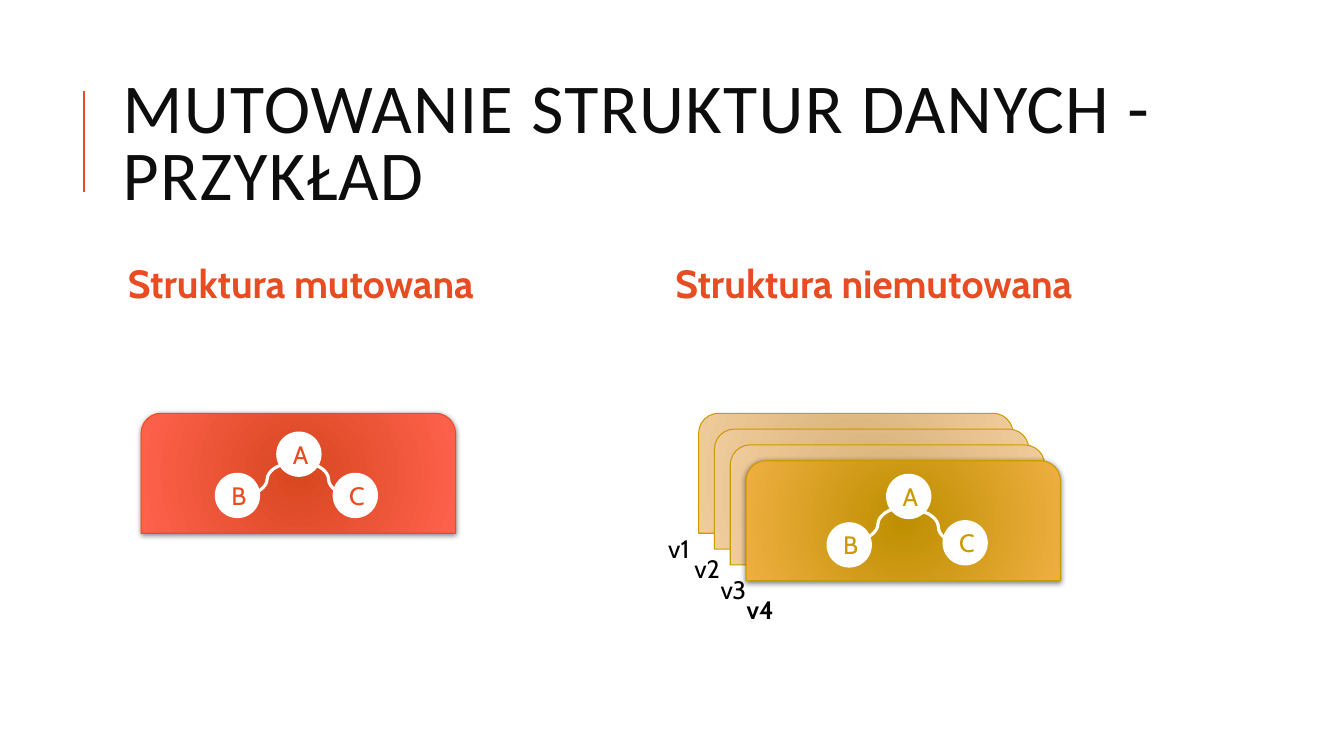
import pptx
import pptx.dml.color
import pptx.enum.shapes
import pptx.enum.text
import pptx.oxml
import pptx.oxml.ns
import pptx.util

Pt = pptx.util.Pt
SHAPE = pptx.enum.shapes.MSO_SHAPE
CONNECTOR = pptx.enum.shapes.MSO_CONNECTOR
ANCHOR = pptx.enum.text.MSO_ANCHOR
ALIGN = pptx.enum.text.PP_ALIGN
NS = pptx.oxml.ns.nsdecls("a")
RED, GOLD, WHITE, BLACK = "E84C22", "CC9900", "FFFFFF", "000000"


def rgb(value):
    return pptx.dml.color.RGBColor.from_string(value)


class Deck:
    """Slide in progress together with its fonts and element styles."""

    font = "Cabin"
    title_font = "Calibri"
    card_size = (224.6, 85.7)
    node_size = 32.4

    def __init__(self):
        self.prs = pptx.Presentation()
        self.prs.slide_width, self.prs.slide_height = Pt(960), Pt(540)
        self.s = self.prs.slides.add_slide(self.prs.slide_layouts[6])

    def label(self, tf, text, size, color, bold=False, font=None):
        p = tf.paragraphs[0]
        p.text = text
        p.font.name = font or self.font
        p.font.size = Pt(size)
        p.font.bold = bold
        p.font.color.rgb = rgb(color)
        return p

    def text(self, x, y, w, h, text, size, color, bold=False, font=None,
             anchor=ANCHOR.TOP, inset=7.2, spacing=None):
        tf = self.s.shapes.add_textbox(Pt(x), Pt(y), Pt(w), Pt(h)).text_frame
        tf.word_wrap = True
        tf.vertical_anchor = anchor
        tf.margin_left = tf.margin_right = Pt(inset)
        p = self.label(tf, text, size, color, bold, font)
        p.line_spacing = spacing
        return p

    def title(self, text):
        p = self.text(80.6, 46.1, 765.4, 118.1, text, 50, "0D0D0D",
                      font=self.title_font, anchor=ANCHOR.MIDDLE, spacing=0.8)
        p.runs[0].font._element.set("spc", "100")

    def heading(self, x, text):
        self.text(x, 171.4, 374.4, 64.8, text, 28, RED, True,
                  anchor=ANCHOR.MIDDLE, inset=10.8, spacing=0.9)

    def line(self, kind, start, end, color, width):
        c = self.s.shapes.add_connector(kind, *map(Pt, start + end))
        c.line.color.rgb = rgb(color)
        c.line.width = Pt(width)
        c._element.spPr.append(pptx.oxml.parse_xml(f"<a:effectLst {NS}/>"))

    def card(self, x, y, inner, outer, border, raised=False):
        sp = self.s.shapes.add_shape(SHAPE.ROUND_2_SAME_RECTANGLE, Pt(x), Pt(y),
                                     *map(Pt, self.card_size))
        sp.fill.gradient()
        for stop, color in zip(sp.fill.gradient_stops, (inner, outer)):
            stop.color.rgb = rgb(color)
        lin = sp._element.spPr.find(".//" + pptx.oxml.ns.qn("a:lin"))
        lin.getparent().replace(lin, pptx.oxml.parse_xml(
            f'<a:path {NS} path="circle"><a:fillToRect l="100000" t="100000" '
            'r="100000" b="100000"/></a:path>'))
        sp.line.color.rgb = rgb(border)
        sp.line.width = Pt(0.75)
        sp.shadow.inherit = False
        if raised:
            effects = sp._element.spPr.find(pptx.oxml.ns.qn("a:effectLst"))
            effects.append(pptx.oxml.parse_xml(
                f'<a:outerShdw {NS} blurRad="{Pt(4)}" dist="{Pt(1)}" dir="5400000" '
                'rotWithShape="0"><a:srgbClr val="000000"><a:alpha val="50000"/>'
                '</a:srgbClr></a:outerShdw>'))

    def node(self, x, y, text, color):
        size = Pt(self.node_size)
        sp = self.s.shapes.add_shape(SHAPE.OVAL, Pt(x), Pt(y), size, size)
        sp.fill.solid()
        sp.fill.fore_color.rgb = rgb(WHITE)
        sp.line.fill.background()
        sp.shadow.inherit = False
        self.label(sp.text_frame, text, 18, color).alignment = ALIGN.CENTER

    def tree(self, color, nodes, links):
        for start, end in links:
            self.line(CONNECTOR.CURVE, start, end, WHITE, 2.25)
        for name, (x, y) in zip("ABC", nodes):
            self.node(x, y, name, color)


def main():
    d = Deck()
    d.line(CONNECTOR.STRAIGHT, (60, 136.8), (60, 64.8), RED, 1.5)
    d.title("MUTOWANIE STRUKTUR DANYCH - PRZYKŁAD")
    d.heading(80.6, "Struktura mutowana")
    d.heading(471.6, "Struktura niemutowana")

    d.card(100.8, 295.2, "D84720", "FF624D", RED, raised=True)
    d.tree(RED, [(197.3, 308.2), (153.4, 337.7), (237.6, 337.7)],
           [((206.6, 331.2), (175, 353.5)), ((219.6, 331.2), (249.8, 353.5))])

    versions = 4
    for i in range(versions):
        latest = i == versions - 1
        inner, outer = ("BE8F00", "EFAF41") if latest else ("D6B076", "F0CB9B")
        d.card(499 + 11.3 * i, 295.2 + 11.3 * i, inner, outer, GOLD, latest)
    for i in range(versions):
        d.text(470.2 + 18.7 * i, 377.3 + 14.6 * i, 36.7, 28.8, f"v{i + 1}", 18,
               BLACK, bold=i == versions - 1)
    d.tree(GOLD, [(632.9, 338.4), (590.4, 373), (673.2, 371.5)],
           [((643, 362.9), (611.3, 385.9)), ((655.2, 365), (685.4, 388.1))])
    d.prs.save("out.pptx")


if __name__ == "__main__":
    main()
